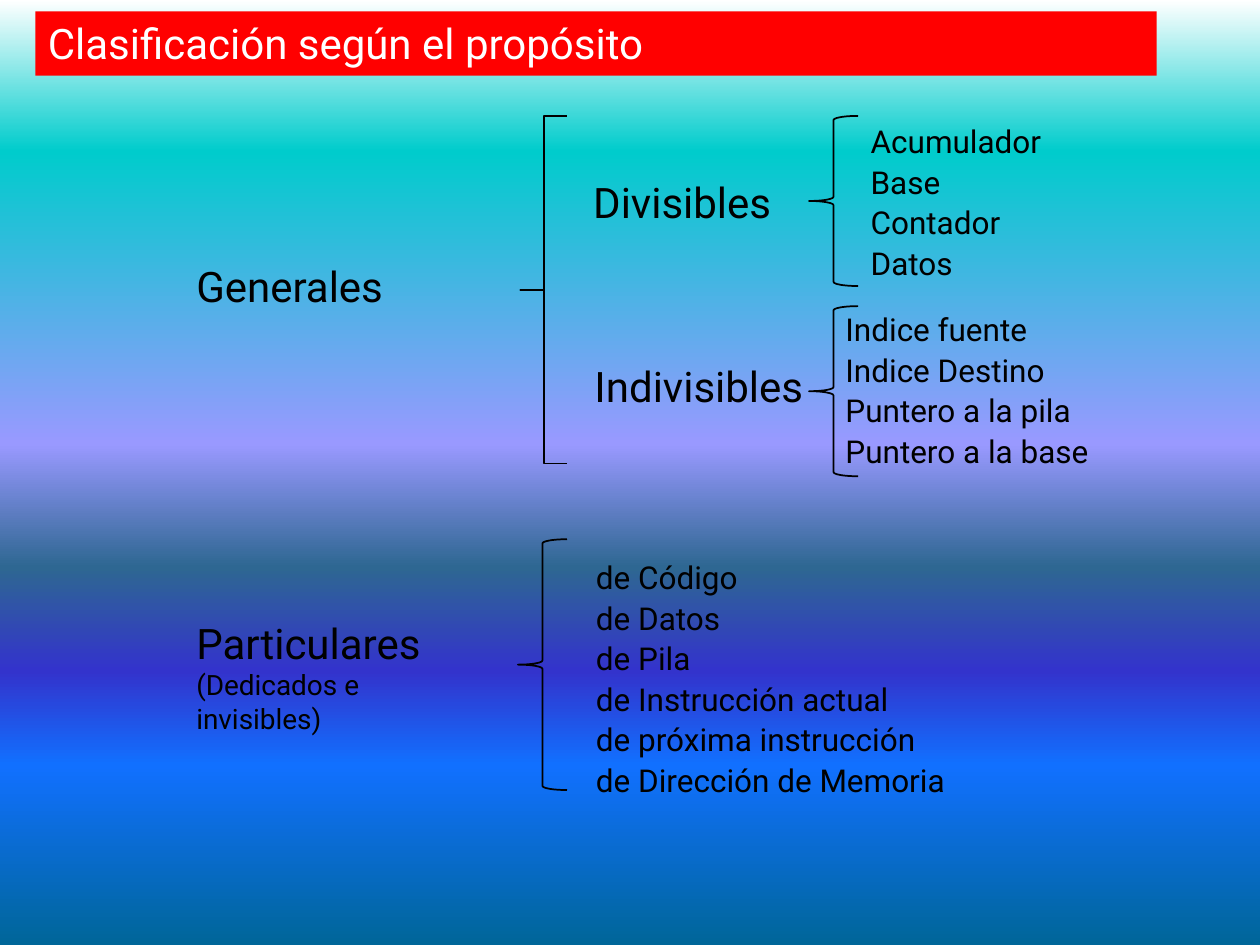
"""Build a slide that classifies registers by purpose with nested braces."""
from lxml.etree import SubElement
from pptx import Presentation
from pptx.dml.color import RGBColor
from pptx.enum.shapes import MSO_SHAPE as Shape
from pptx.enum.text import MSO_ANCHOR as Anchor, MSO_AUTO_SIZE as AutoSize, PP_ALIGN as Align
from pptx.oxml.ns import qn
from pptx.util import Inches, Pt

COLORS = {"text": "000000", "title": "FFFFFF", "banner": "FF0000"}
SKY = {0: "FFFFFF", 16: "00CCCC", 47: "9999FF", 60: "2E6792",
       71: "3333CC", 81: "1170FF", 100: "006699"}
FRAME = {"word_wrap": True, "auto_size": AutoSize.NONE, "vertical_anchor": Anchor.TOP}
PARA = {"alignment": Align.LEFT, "space_before": Pt(0), "line_spacing": 1.0}
FONT = {"name": "Roboto", "bold": False}

LISTS = [
    ((6.81, 0.92, 2.03, 1.35), ["Acumulador", "Base", "Contador", "Datos"]),
    ((6.61, 2.41, 2.24, 1.35),
     ["Indice fuente", "Indice Destino", "Puntero a la pila", "Puntero a la base"]),
    ((4.63, 4.38, 4.4, 2),
     ["de Código", "de Datos", "de Pila", "de Instrucción actual",
      "de próxima instrucción", "de Dirección de Memoria"]),
]
LABELS = [
    ((1.46, 2.02, 2.03, 0.51), [("Generales", 24)]),
    ((4.61, 1.35, 2.03, 0.51), [("Divisibles", 24)]),
    ((4.62, 2.81, 2.03, 0.51), [("Indivisibles", 24)]),
    ((1.46, 4.85, 2.5, 0.77), [("Particulares", 24), ("(Dedicados e invisibles)", 16)]),
]
BRACES = [
    ((4.13, 0.92, 0.37, 2.76), 0),
    ((4.11, 4.28, 0.39, 1.99), None),
    ((6.42, 0.92, 0.39, 1.35), None),
    ((6.42, 2.43, 0.39, 1.35), None),
]


def apply(target, values):
    for name, value in values.items():
        setattr(target, name, value)


def place(box, area):
    apply(box, dict(zip(("left", "top", "width", "height"), map(Inches, area))))


def write(box, lines, color="text", gap=0):
    """Fill a box with (wording, size) lines, one paragraph each."""
    frame = box.text_frame
    apply(frame, FRAME)
    for index, (wording, size) in enumerate(lines):
        para = frame.add_paragraph() if index else frame.paragraphs[0]
        apply(para, {**PARA, "space_after": Pt(gap)})
        span = para.add_run()
        span.text = wording
        apply(span.font, {**FONT, "size": Pt(size)})
        span.font.color.rgb = RGBColor.from_string(COLORS[color])


def paint_background(page):
    fill = page.background.fill
    fill.gradient()
    fill.gradient_angle = 270
    stops = page.element.find(".//" + qn("a:gsLst"))
    for stop in list(stops):
        stops.remove(stop)
    for percent, color in SKY.items():
        stop = SubElement(stops, qn("a:gs"), pos=str(percent * 1000))
        SubElement(stop, qn("a:srgbClr"), val=color)


def add_title(page, wording):
    title = page.shapes.title
    place(title, (0.28, 0.09, 8.9, 0.51))
    title.fill.solid()
    title.fill.fore_color.rgb = RGBColor.from_string(COLORS["banner"])
    write(title, [(wording, 24)], "title")


def fill_list(box, area, items):
    place(box, area)
    write(box, [(item, 18) for item in items], gap=1.6)
    for para in box.text_frame.paragraphs:
        props = para._p.get_or_add_pPr()
        props.set("marL", "0")
        props.set("indent", "0")
        SubElement(props, qn("a:buNone"))


def add_label(page, area, lines):
    write(page.shapes.add_textbox(*map(Inches, area)), lines)


def add_brace(page, area, curl):
    brace = page.shapes.add_shape(Shape.LEFT_BRACE, *map(Inches, area))
    brace.shadow.inherit = False
    brace.fill.background()
    brace.line.color.rgb = RGBColor.from_string(COLORS["text"])
    brace.line.width = Pt(1)
    if curl is not None:
        brace.adjustments[0] = curl


def main():
    deck = Presentation()
    deck.slide_width, deck.slide_height = Inches(10), Inches(7.5)
    page = deck.slides.add_slide(deck.slide_layouts.get_by_name("Comparison"))
    paint_background(page)
    add_title(page, "Clasificación según el propósito")
    *bodies, spare = list(page.placeholders)[1:]
    spare.element.getparent().remove(spare.element)
    for body, (area, items) in zip(bodies, LISTS):
        fill_list(body, area, items)
    for area, lines in LABELS:
        add_label(page, area, lines)
    for area, curl in BRACES:
        add_brace(page, area, curl)
    deck.save("out.pptx")


if __name__ == "__main__":
    main()
